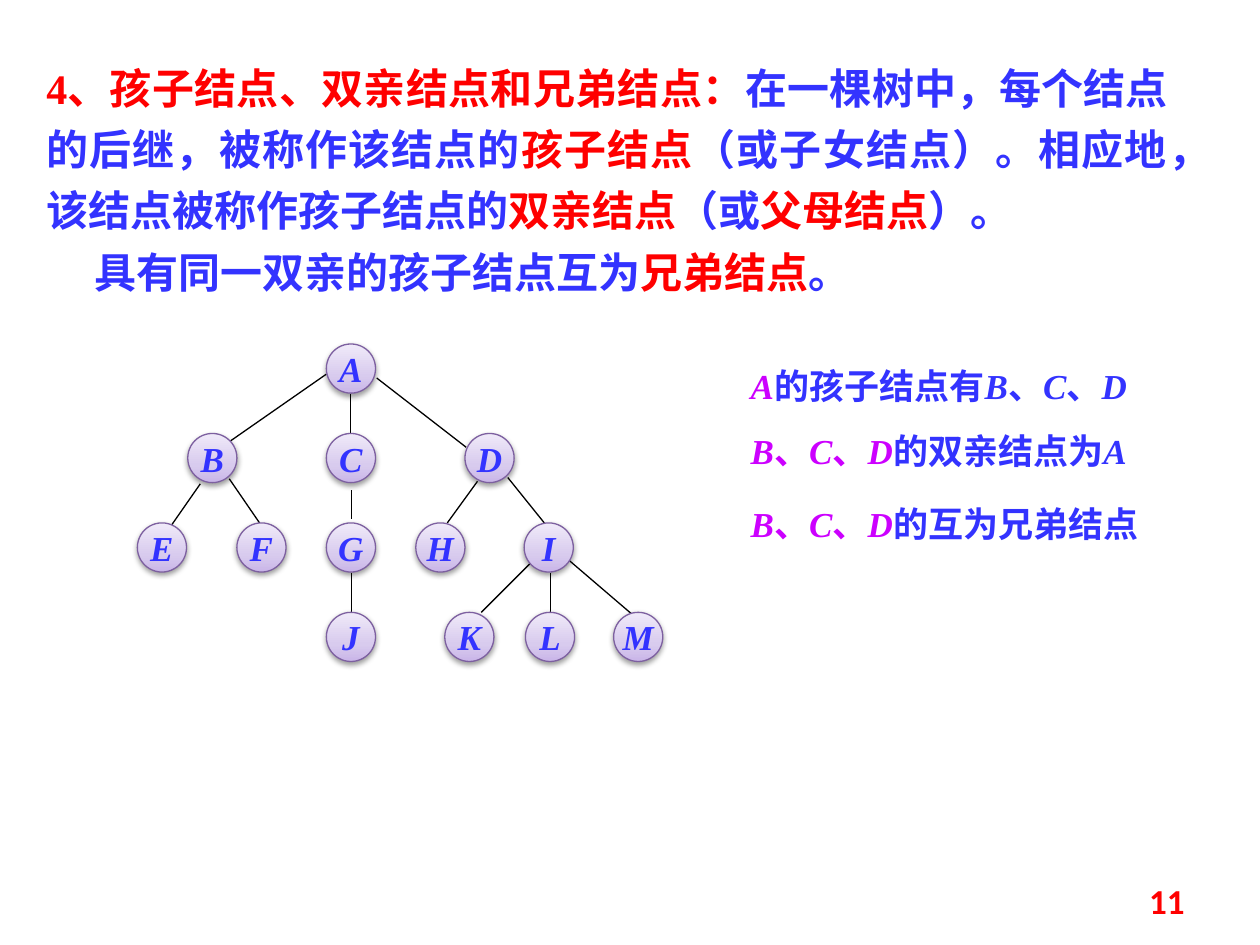
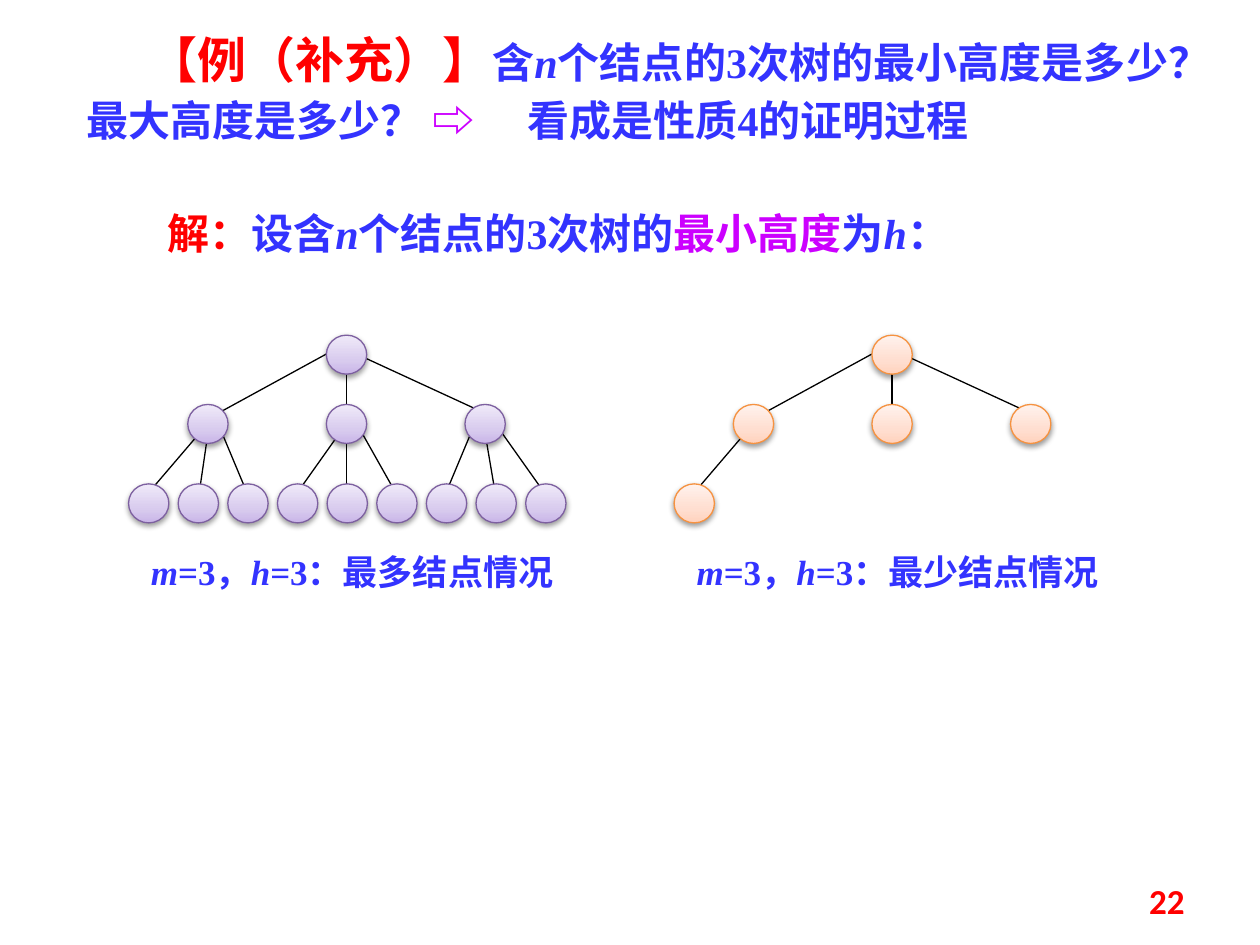
from dataclasses import dataclass

from lxml import etree
from pptx import Presentation
from pptx.dml.color import RGBColor
from pptx.enum.shapes import MSO_CONNECTOR, MSO_SHAPE
from pptx.enum.text import MSO_ANCHOR as Anchor, PP_ALIGN as Align
from pptx.oxml import parse_xml
from pptx.oxml.ns import nsdecls, qn
from pptx.util import Inches, Pt


@dataclass(frozen=True)
class Theme:
    blue: str = "3333FF"
    red: str = "FF0000"
    magenta: str = "CC00FF"
    black: str = "000000"
    serif: str = "Times New Roman"
    sans: str = "Calibri"
    heading: int = 28
    body: int = 24
    label: int = 20
    line: float = 0.75


THEME = Theme()
BLUE, RED, MAGENTA = THEME.blue, THEME.red, THEME.magenta

# Node styles: outline, then gradient stops from the bottom up
PURPLE = ("7D60A0", ((0, "C9B5E8"), (35, "D8CBEE"), (100, "F0EAF9")))
ORANGE = ("F69240", ((0, "FFD2BD"), (35, "FFDED0"), (100, "FFF2ED")))

# Runs: (text, colour[, italic[, size]])
DEFINITION = [
    ("4、孩子结点、双亲结点和兄弟结点：", RED),
    ("在一棵树中，每个结点的后继，被称作该结点的", BLUE),
    ("孩子结点", RED),
    ("（或子女结点）。相应地，该结点被称作孩子结点的", BLUE),
    ("双亲结点", RED),
    ("（或", BLUE),
    ("父母结点", RED),
    ("）。", BLUE),
]
SIBLINGS = [("具有同一双亲的孩子结点互为", BLUE), ("兄弟结点", RED), ("。", BLUE)]


def letters(colour):
    return [("B", colour, True), ("、", colour), ("C", colour, True),
            ("、", colour), ("D", colour, True)]


RELATIONS = [
    (2.84, 3.91, [("A", MAGENTA, True), ("的孩子结点有", BLUE), *letters(BLUE)]),
    (3.36, 3.67, [*letters(MAGENTA), ("的双亲结点为", BLUE), ("A", BLUE, True)]),
    (3.94, 3.67, [*letters(MAGENTA), ("的互为兄弟结点", BLUE)]),
]

QUESTION = [
    ("【例（补充）】", RED, False, THEME.heading),
    ("含", BLUE),
    ("n", BLUE, True),
    ("个结点的3次树的最小高度是多少？最大高度是多少？ ", BLUE),
    ("⇨", MAGENTA),
    ("\t看成是性质4的证明过程", BLUE),
]
SOLUTION = [
    ("解：", RED),
    ("设含", BLUE),
    ("n", BLUE, True),
    ("个结点的3次树的", BLUE),
    ("最小高度", MAGENTA),
    ("为", BLUE),
    ("h", BLUE, True),
    ("：", BLUE),
]

# Lettered tree: rows are 0.71 apart, each with the left edges of its nodes
LETTER_SIZE = (0.39, 0.39)
LETTER_TOP, LETTER_STEP = 2.73, 0.71
LETTER_ROWS = [
    {"A": 2.59},
    {"B": 1.49, "C": 2.59, "D": 3.69},
    {"E": 1.09, "F": 1.88, "G": 2.59, "H": 3.3, "I": 4.16},
    {"J": 2.59, "K": 3.53, "L": 4.17, "M": 4.87},
]
LETTER_EDGES = [
    (2.59, 2.97, 1.8, 3.52), (2.78, 3.13, 2.78, 3.44), (2.99, 3, 3.7, 3.55),
    (1.59, 3.84, 1.36, 4.17), (1.82, 3.8, 2.06, 4.15), (2.79, 3.89, 2.79, 4.12),
    (3.79, 3.82, 3.55, 4.15), (4.03, 3.79, 4.32, 4.15), (2.79, 4.55, 2.79, 4.86),
    (4.21, 4.47, 3.82, 4.86), (4.37, 4.55, 4.37, 4.86), (4.52, 4.45, 5.01, 4.87),
]

# Ternary tree, level by level; both trees on the slide share this layout
TERNARY_SIZE = (0.32, 0.31)
TERNARY_NODES = ([(2.59, 2.66)]
                 + [(1.49 + 1.1 * i, 3.21) for i in range(3)]
                 + [(1.02 + 0.394 * i, 3.84) for i in range(9)])
TERNARY_EDGES = [
    (2.59, 2.81, 1.73, 3.28), (2.75, 2.89, 2.75, 3.28), (2.83, 2.81, 3.85, 3.28),
    (1.65, 3.36, 1.18, 3.91), (1.65, 3.44, 1.57, 3.99), (1.73, 3.36, 1.96, 3.91),
    (2.75, 3.36, 2.36, 3.91), (2.75, 3.44, 2.75, 3.84), (2.83, 3.36, 3.14, 3.91),
    (3.77, 3.36, 3.54, 3.91), (3.85, 3.44, 3.93, 3.91), (3.93, 3.36, 4.32, 3.91),
]
# Shift to the right, node count, style, caption
TERNARY_TREES = [
    (0, 13, PURPLE, "=3：最多结点情况"),
    (4.33, 5, ORANGE, "=3：最少结点情况"),
]


def add_runs(para, runs, size, font=THEME.serif):
    for text, colour, *extra in runs:
        italic, run_size = (*extra, False, size)[:2] if len(extra) != 1 else (extra[0], size)
        span = para.add_run()
        span.text = text
        span.font.name = font
        span.font.size = Pt(run_size)
        span.font.bold = True
        span.font.italic = italic
        span.font.color.rgb = RGBColor.from_string(colour)


def add_text(shapes, at, paragraphs, size, align=Align.LEFT, spacing=None,
             indents=(0,), tab=None, font=THEME.serif, anchor=Anchor.TOP):
    box = shapes.add_textbox(*map(Inches, at))
    frame = box.text_frame
    frame.word_wrap = True
    frame.vertical_anchor = anchor
    for i, (runs, indent) in enumerate(zip(paragraphs, indents)):
        para = frame.add_paragraph() if i else frame.paragraphs[0]
        para.alignment = align
        props = para._p.get_or_add_pPr()
        props.set("indent", str(Inches(indent)))
        if tab:
            stops = etree.SubElement(props, qn("a:tabLst"))
            etree.SubElement(stops, qn("a:tab"), pos=str(Inches(tab)), algn="l")
        if spacing:
            para.line_spacing = spacing
        add_runs(para, runs, size, font)


def add_edge(shapes, points, shift=0):
    x1, y1, x2, y2 = points
    edge = shapes.add_connector(MSO_CONNECTOR.STRAIGHT, Inches(x1 + shift), Inches(y1),
                                Inches(x2 + shift), Inches(y2))
    edge.line.color.rgb = RGBColor.from_string(THEME.black)
    edge.line.width = Pt(THEME.line)
    etree.SubElement(edge._element.spPr, qn("a:effectLst"))


def add_node(shapes, left, top, size, style, letter=None):
    outline, stops = style
    node = shapes.add_shape(MSO_SHAPE.OVAL, *map(Inches, (left, top, *size)))
    node.line.color.rgb = RGBColor.from_string(outline)
    node.line.width = Pt(THEME.line)
    stop_xml = "".join(f'<a:gs pos="{pos * 1000}"><a:srgbClr val="{colour}"/></a:gs>'
                       for pos, colour in stops)
    props = node._element.spPr
    props.find(qn("a:prstGeom")).addnext(parse_xml(
        f'<a:gradFill {nsdecls("a")} rotWithShape="1"><a:gsLst>{stop_xml}</a:gsLst>'
        '<a:lin ang="16200000" scaled="1"/></a:gradFill>'))
    props.append(parse_xml(
        f'<a:effectLst {nsdecls("a")}><a:outerShdw blurRad="40000" dist="20000" '
        f'dir="5400000" rotWithShape="0"><a:srgbClr val="{THEME.black}">'
        '<a:alpha val="38000"/></a:srgbClr></a:outerShdw></a:effectLst>'))
    if letter:
        frame = node.text_frame
        frame.word_wrap = False
        frame.vertical_anchor = Anchor.MIDDLE
        frame.paragraphs[0].alignment = Align.CENTER
        add_runs(frame.paragraphs[0], [(letter, BLUE, True)], THEME.label)


def add_page(deck, number):
    page = deck.slides.add_slide(deck.slide_layouts[6])
    add_text(page.shapes, (7.17, 6.95, 2.33, 0.4), [[(number, RED)]], THEME.label,
             Align.RIGHT, font=THEME.sans, anchor=Anchor.MIDDLE)
    return page


def build_relations(deck):
    shapes = add_page(deck, "11").shapes
    add_text(shapes, (0.27, 0.36, 9.1, 2.06), [DEFINITION, SIBLINGS], THEME.body,
             Align.JUSTIFY, Pt(35), indents=(0, 0.38))
    for points in LETTER_EDGES:
        add_edge(shapes, points)
    for level, row in enumerate(LETTER_ROWS):
        for letter, left in row.items():
            add_node(shapes, left, LETTER_TOP + level * LETTER_STEP, LETTER_SIZE,
                     PURPLE, letter)
    for top, width, runs in RELATIONS:
        add_text(shapes, (5.86, top, width, 0.44), [runs], THEME.label)


def build_heights(deck):
    shapes = add_page(deck, "22").shapes
    add_text(shapes, (0.78, 1.56, 7.15, 0.55), [SOLUTION], THEME.body,
             Align.JUSTIFY, 1.1, indents=(0.45,))
    add_text(shapes, (0.59, 0.21, 8.78, 0.99), [QUESTION], THEME.body,
             Align.JUSTIFY, Pt(32), indents=(0.49,), tab=3.97)
    for shift, count, style, caption in TERNARY_TREES:
        tree = shapes.add_group_shape().shapes
        runs = [("m", BLUE, True), ("=3，", BLUE), ("h", BLUE, True), (caption, BLUE)]
        add_text(tree, (1.1 + shift, 4.32, 3.7, 0.44), [runs], THEME.label)
        for points in TERNARY_EDGES[:count - 1]:
            add_edge(tree, points, shift)
        for left, top in TERNARY_NODES[:count]:
            add_node(tree, left + shift, top, TERNARY_SIZE, style)


def main():
    deck = Presentation()
    deck.slide_width, deck.slide_height = Inches(10), Inches(7.5)
    build_relations(deck)
    build_heights(deck)
    deck.save("out.pptx")


if __name__ == "__main__":
    main()
